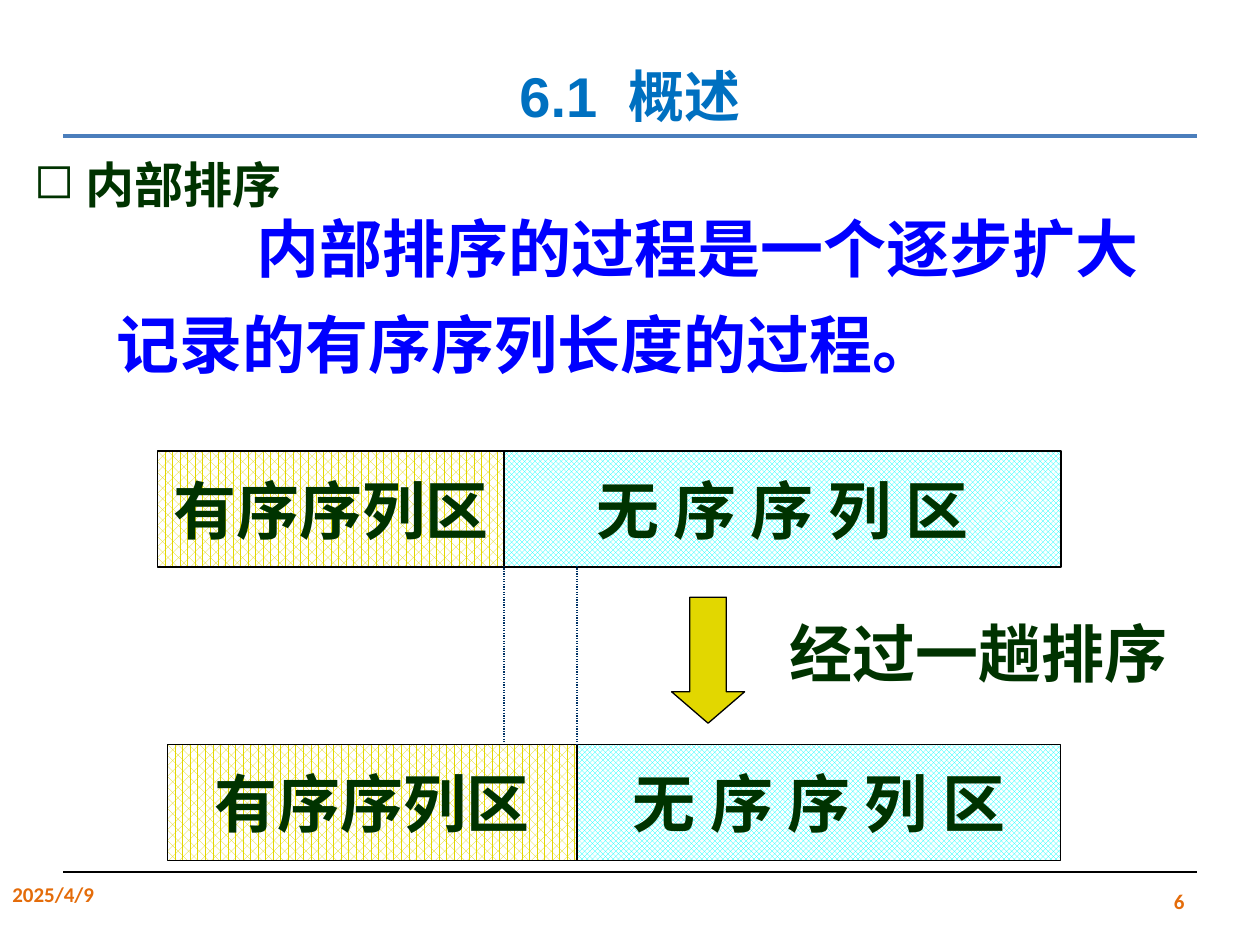
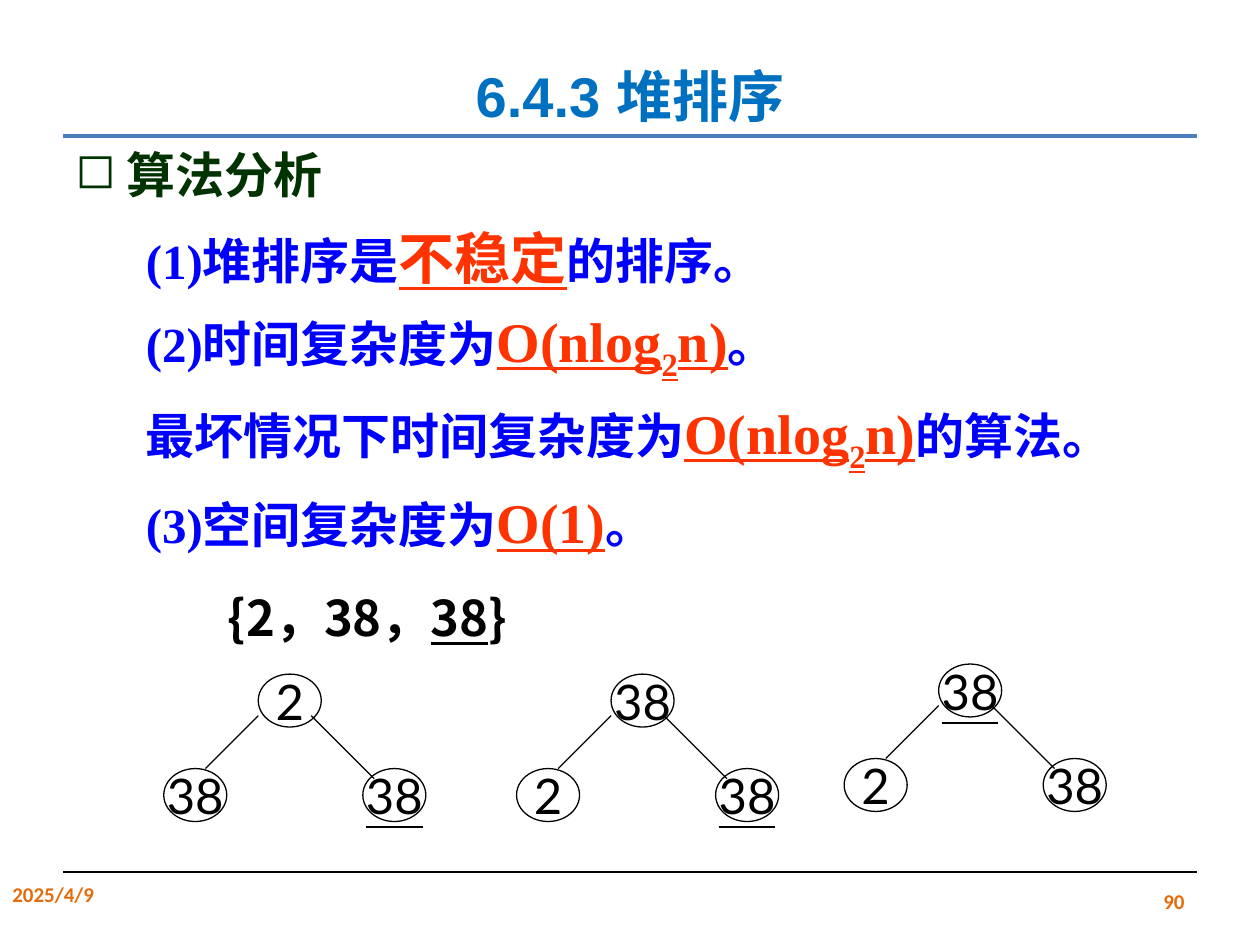
from dataclasses import dataclass

from pptx import Presentation
from pptx.dml.color import RGBColor
from pptx.enum import dml, shapes, text
from pptx.oxml import ns, xmlchemy
from pptx.util import Inches, Pt


@dataclass(frozen=True)
class Theme:
    title_color: str = "0070C0"
    band: str = "4B7EBC"
    footer: str = "E46C0A"
    heading: str = "003300"
    body: str = "0000FF"
    accent: str = "FF3300"
    ink: str = "000000"
    white: str = "FFFFFF"
    sorted_fill: str = "E2D700"
    unsorted_fill: str = "00FFFF"
    guide: str = "003366"
    serif: str = "Times New Roman"
    sans: str = "Arial"
    footer_font: str = "Calibri"
    chinese: str = "Noto Sans CJK SC"
    node_font: str = "Lato"
    title_size: float = 32
    large: float = 36
    medium: float = 28
    small: float = 12
    thin: float = 0.75
    thick: float = 2.75


@dataclass(frozen=True)
class Run:
    """A piece of text; settings left as None come from its text box."""
    text: str
    size: float | None = None
    color: str | None = None
    underline: bool = False
    baseline: int = 0


@dataclass(frozen=True)
class Region:
    left: float
    top: float
    width: float
    label: str
    pattern: dml.MSO_PATTERN
    color: str
    font: str


@dataclass(frozen=True)
class Tree:
    """A root with two children; underlined names the marked node."""
    left: float
    top: float
    root: str
    children: tuple[str, str]
    underlined: str


THEME = Theme()
ALIGN = text.PP_ALIGN
ANCHOR = text.MSO_ANCHOR
SHAPE = shapes.MSO_SHAPE


def rgb(color: str) -> RGBColor:
    return RGBColor.from_string(color)


def write(shape, paragraphs, *, size: float, color: str, font: str = THEME.serif,
          bold: bool = True, align=ALIGN.LEFT, anchor=ANCHOR.TOP, wrap: bool = True,
          line_spacing: float | None = None, space_before: float = 0,
          space_after: float = 0, bullet: str | None = None) -> None:
    """Fill a shape with paragraphs, each a list of runs, or with one plain string."""
    if isinstance(paragraphs, str):
        paragraphs = [[Run(paragraphs)]]
    frame = shape.text_frame
    frame.word_wrap = wrap
    frame.auto_size = text.MSO_AUTO_SIZE.NONE
    frame.vertical_anchor = anchor
    for index, runs in enumerate(paragraphs):
        paragraph = frame.paragraphs[0] if index == 0 else frame.add_paragraph()
        paragraph.alignment = align
        paragraph.line_spacing = line_spacing
        paragraph.space_before = Pt(space_before)
        paragraph.space_after = Pt(space_after)
        if bullet:
            mark = xmlchemy.OxmlElement("a:buChar")
            mark.set("char", bullet)
            paragraph._p.get_or_add_pPr().append(mark)
        for item in runs:
            run = paragraph.add_run()
            run.text = item.text
            run.font.size = Pt(item.size or size)
            run.font.bold = bold
            run.font.underline = item.underline
            run.font.name = font
            run.font.color.rgb = rgb(item.color or color)
            properties = run.font._element
            east_asian = xmlchemy.OxmlElement("a:ea")
            east_asian.set("typeface", THEME.chinese)
            properties.find(ns.qn("a:latin")).addnext(east_asian)
            if item.baseline:
                properties.set("baseline", str(item.baseline * 1000))


def add_text(slide, left: float, top: float, width: float, height: float,
             paragraphs, **text_format) -> None:
    box = slide.shapes.add_textbox(Inches(left), Inches(top), Inches(width), Inches(height))
    write(box, paragraphs, **text_format)


def add_line(slide, start: tuple[float, float], end: tuple[float, float],
             color: str = THEME.ink, width: float = THEME.thin, dash=None) -> None:
    line = slide.shapes.add_connector(
        shapes.MSO_CONNECTOR.STRAIGHT, *(Inches(value) for value in start + end))
    line.line.color.rgb = rgb(color)
    line.line.width = Pt(width)
    if dash:
        line.line.dash_style = dash
    line._element.spPr.append(xmlchemy.OxmlElement("a:effectLst"))


def add_outlined_shape(slide, kind, left: float, top: float, width: float, height: float):
    shape = slide.shapes.add_shape(
        kind, Inches(left), Inches(top), Inches(width), Inches(height))
    shape.shadow.inherit = False
    shape.fill.background()
    shape.line.color.rgb = rgb(THEME.ink)
    shape.line.width = Pt(THEME.thin)
    return shape


def add_slide(presentation, title: str, number: int):
    """Add a slide with the shared title, rules, date and page number."""
    slide = presentation.slides.add_slide(presentation.slide_layouts[5])
    add_line(slide, (0.5, 1.08), (9.5, 1.08), THEME.band, THEME.thick)
    placeholder = slide.shapes.title
    placeholder.left, placeholder.top = Inches(0.5), Inches(0)
    placeholder.width, placeholder.height = Inches(9), Inches(1.25)
    write(placeholder, title, size=THEME.title_size, color=THEME.title_color,
          font=THEME.sans, align=ALIGN.CENTER, anchor=ANCHOR.MIDDLE,
          line_spacing=1.5, space_before=1.6, space_after=1.6)
    footer = dict(size=THEME.small, color=THEME.footer, font=THEME.footer_font)
    add_text(slide, 0, 6.95, 2.33, 0.4, "2025/4/9", **footer)
    add_text(slide, 7.17, 6.95, 2.33, 0.4, str(number),
             align=ALIGN.RIGHT, anchor=ANCHOR.MIDDLE, **footer)
    add_line(slide, (0.5, 6.92), (9.5, 6.92))
    return slide


def add_heading(slide, left: float, top: float, width: float, heading: str) -> None:
    add_text(slide, left, top, width, 0.57, " " + heading, size=THEME.medium,
             color=THEME.heading, space_before=5.6, bullet="◻")


def add_region(slide, region: Region) -> None:
    shape = add_outlined_shape(slide, SHAPE.RECTANGLE, region.left, region.top,
                               region.width, 0.92)
    shape.fill.patterned()
    shape.fill.pattern = region.pattern
    shape.fill.fore_color.rgb = rgb(region.color)
    shape.fill.back_color.rgb = rgb(THEME.white)
    write(shape, region.label, size=THEME.large, color=THEME.heading, font=region.font,
          align=ALIGN.CENTER, anchor=ANCHOR.MIDDLE, wrap=False)


def add_tree(slide, tree: Tree) -> None:
    left, top = tree.left, tree.top
    nodes = ((0, 0.75, tree.children[0], "left"),
             (0.75, 0, tree.root, "root"),
             (1.58, 0.75, tree.children[1], "right"))
    for across, down, value, name in nodes:
        node = add_outlined_shape(slide, SHAPE.OVAL, left + across, top + down, 0.5, 0.42)
        write(node, [[Run(value, underline=name == tree.underlined)]], size=THEME.medium,
              color=THEME.ink, font=THEME.node_font, bold=False,
              align=ALIGN.CENTER, anchor=ANCHOR.MIDDLE, wrap=False)
    add_line(slide, (left + 0.75, top + 0.33), (left + 0.33, top + 0.75))
    add_line(slide, (left + 1.17, top + 0.33), (left + 1.67, top + 0.83))


def build_overview(presentation) -> None:
    slide = add_slide(presentation, "6.1  概述", 6)
    add_heading(slide, 0.17, 1.18, 7.17, "内部排序")
    add_text(slide, 0.83, 1.39, 8.58, 1.69,
             [[Run("\u3000\u3000".replace("\u3000", "　"), size=40),
               Run("内部排序的过程是一个逐步扩大")],
              [Run("记录的有序序列长度的过程。")]],
             size=THEME.large, color=THEME.body, line_spacing=1.25)
    add_text(slide, 6.17, 4.83, 3.83, 0.7, "经过一趟排序",
             size=THEME.large, color=THEME.heading)

    right_edge = 8.42
    for left, boundary, top in ((1.25, 4, 3.58), (1.33, 4.58, 5.91)):
        add_region(slide, Region(left, top, boundary - left, "有序序列区",
                                 dml.MSO_PATTERN.PERCENT_60, THEME.sorted_fill, THEME.serif))
        add_region(slide, Region(boundary, top, right_edge - boundary, "无 序 序 列 区",
                                 dml.MSO_PATTERN.TRELLIS, THEME.unsorted_fill, THEME.chinese))
        add_line(slide, (boundary, 4.49), (boundary, 5.91), THEME.guide,
                 dash=dml.MSO_LINE.ROUND_DOT)

    arrow = add_outlined_shape(slide, SHAPE.DOWN_ARROW, 5.33, 4.74, 0.58, 1)
    arrow.adjustments[1] = 0.43
    arrow.fill.solid()
    arrow.fill.fore_color.rgb = rgb(THEME.sorted_fill)


def key(value: str, baseline: int = 0) -> Run:
    """An underlined run in the accent colour."""
    return Run(value, THEME.title_size, THEME.accent, True, baseline)


def build_heap_analysis(presentation) -> None:
    slide = add_slide(presentation, "6.4.3 堆排序", 90)
    add_heading(slide, 0.5, 1.1, 8.59, "算法分析")
    n_log_n = [key("O(nlog"), key("2", -25), key("n)")]
    add_text(slide, 1.06, 1.62, 7.95, 2.69,
             [[Run("(1)堆排序是"), key("不稳定"), Run("的排序。")],
              [Run("(2)时间复杂度为"), *n_log_n, Run("。")],
              [Run("最坏情况下时间复杂度为"), *n_log_n, Run("的算法。")],
              [Run("(3)空间复杂度为"), key("O(1)"), Run("。")]],
             size=THEME.medium, color=THEME.body, line_spacing=1.2)
    add_text(slide, 1.71, 4.54, 3.05, 0.64,
             [[Run("{2，38，"), Run("38", underline=True), Run("}")]],
             size=THEME.medium, color=THEME.ink, font=THEME.chinese,
             align=ALIGN.JUSTIFY, line_spacing=1.15)
    for tree in (Tree(1.3, 5.35, "2", ("38", "38"), "right"),
                 Tree(4.1, 5.35, "38", ("2", "38"), "right"),
                 Tree(6.7, 5.27, "38", ("2", "38"), "root")):
        add_tree(slide, tree)


def main() -> None:
    presentation = Presentation()
    presentation.slide_width, presentation.slide_height = Inches(10), Inches(7.5)
    build_overview(presentation)
    build_heap_analysis(presentation)
    presentation.save("out.pptx")


if __name__ == "__main__":
    main()
